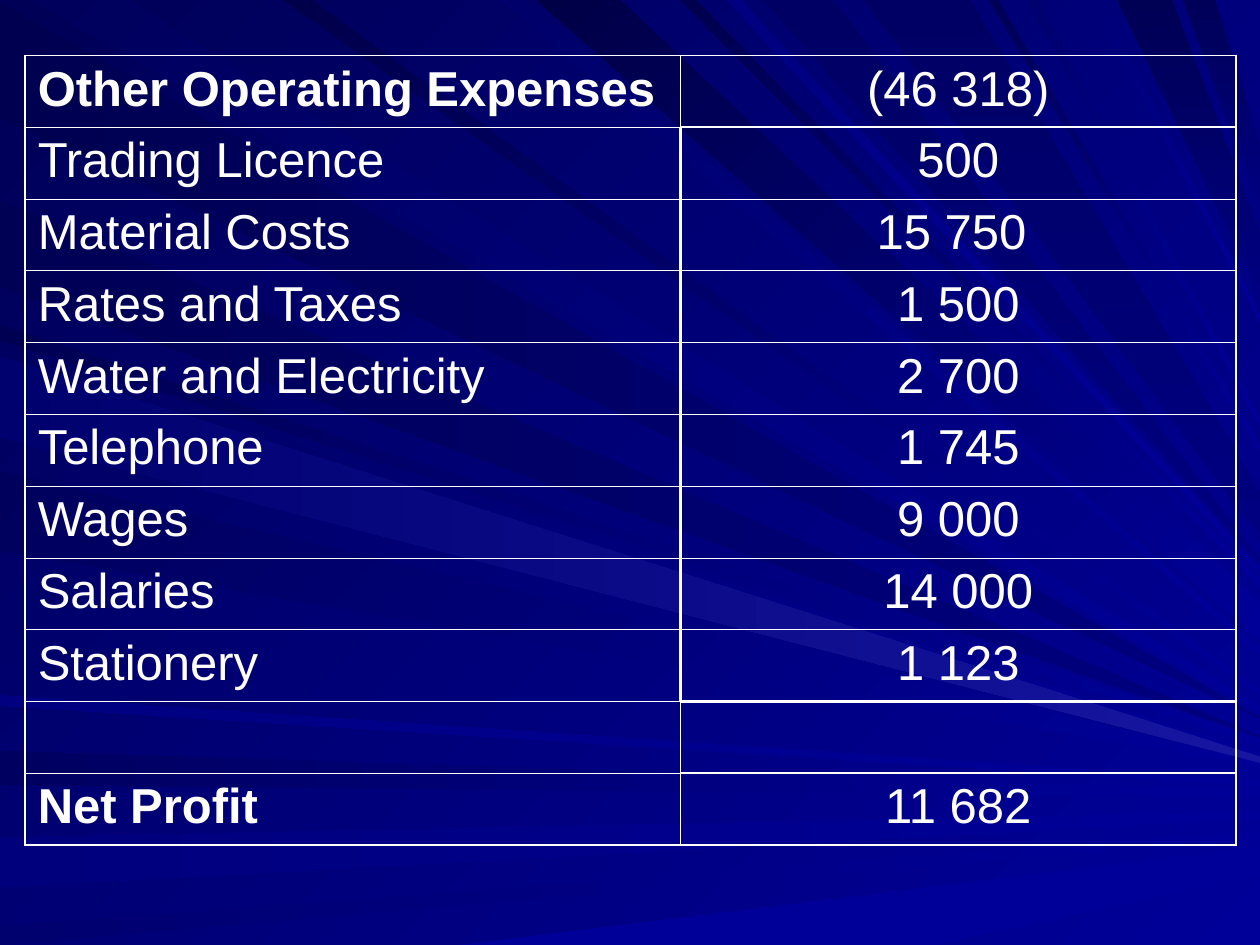
from lxml import etree
from pptx import Presentation
from pptx.dml.color import RGBColor
from pptx.enum import text
from pptx.oxml import ns
from pptx.util import Inches, Pt

THEME = {
    "font": "Arial", "size": 28, "text": "FFFFFF", "border": "FFFFFF",
    "light": "000099", "middle": "000080", "pale": "1616A1", "dark": "000057",
    "hair": 0.45, "medium": 1.08, "heavy": 1.47,
}
WIDTH, HEIGHT = 10, 7.5

# Label, amount, bold label
EXPENSES = [
    ("Other Operating Expenses", "(46 318)", True),
    ("Trading Licence", "500", False),
    ("Material Costs", "15 750 ", False),
    ("Rates and Taxes", "1 500", False),
    ("Water and Electricity", "2 700", False),
    ("Telephone", "1 745", False),
    ("Wages", "9 000", False),
    ("Salaries", "14 000", False),
    ("Stationery", "1 123", False),
    ("", "", False),
    ("Net Profit", "11 682", True),
]
LEFT, TOP, ROW_HEIGHT = 0.2, 0.44, 0.57
COLUMN_WIDTHS = (5.2, 4.41)
FIRST_ITEM, LAST_ITEM = 1, 8

# Each group: starting edge, tip colour, clockwise gradient angle, tip height;
# each ray: start and end on that edge, tip centre on the right edge, dark colour
RAY_GROUPS = [
    ("left", "middle", 180, 0.02, [(0.02, 0.93, 5.7, "000051"), (1.59, 2.28, 5.85, "000055")]),
    ("left", "light", 180, 0.05, [
        (5.96, 6.23, 6.3, "000060"), (6.65, 7.04, 6.47, "00007C"),
        (7.35, 7.5, 6.62, "00006E"), (2.58, 2.7, 5.89, "000053")]),
    ("bottom", "light", 180, 0.22, [(3.64, 7.42, 6.83, "000099")]),
    ("top", "light", 225, 0.05, [
        (0.26, 1.01, 5.63, "00005C"), (3.98, 4.16, 5.18, "00006A"), (5.4, 5.52, 4.63, "00004E")]),
    ("top", "light", 225, 0.3, [(4.26, 4.92, 4.93, "000046")]),
    ("top", "middle", 270, 0.05, [(6.06, 6.61, 4.46, "000064")]),
    ("top", "middle", 270, 0.5, [(8.87, 9.3, 2.1, "000055"), (9.39, 9.64, 1.4, "000059")]),
    ("left", "light", 225, 0.04, [
        (2.78, 3.42, 6, "000060"), (3.74, 4.37, 6.06, "00005C"), (5.52, 5.6, 6.22, "000081")]),
    ("top", "light", 225, 0.05, [(2.25, 2.47, 5.5, "00004A"), (5.77, 5.88, 4.54, "000081")]),
    ("top", "middle", 270, 0.38, [(6.86, 7.7, 4.09, "000064")]),
    ("top", "light", 225, 0.05, [
        (7.85, 7.92, 3.57, "000057"), (8.15, 8.24, 3.36, "00006E"), (8.65, 8.72, 2.53, "000078")]),
    ("left", "pale", 180, 0.05, [(2.83, 3.47, 6.03, "00006E")]),
]


def paint(fill, colours, angle):
    """Fill with a two-colour gradient at a clockwise angle."""
    fill.gradient()
    fill.gradient_angle = 360 - angle
    for stop, colour in zip(fill.gradient_stops, colours):
        stop.color.rgb = RGBColor.from_string(colour)


def edge_point(edge, offset):
    return {"left": (0, offset), "top": (offset, 0), "bottom": (offset, HEIGHT)}[edge]


def add_ray(slide, edge, tip_colour, angle, tip_height, ray):
    start, end, tip, dark = ray
    near, far = tip - tip_height / 2, tip + tip_height / 2
    if edge == "top":
        near, far = far, near
    corners = [edge_point(edge, start), edge_point(edge, end), (WIDTH, far), (WIDTH, near)]
    points = [(Inches(x), Inches(y)) for x, y in corners]
    builder = slide.shapes.build_freeform(*points[0], scale=1.0)
    builder.add_line_segments(points[1:], close=True)
    shape = builder.convert_to_shape()
    shape.shadow.inherit = False
    shape.line.fill.background()
    paint(shape.fill, (THEME[tip_colour], dark), angle)


def border_weights(row, column):
    """Left, right, top and bottom weights; the item amounts have a heavy frame."""
    last_row = len(EXPENSES) - 1
    is_item = FIRST_ITEM <= row <= LAST_ITEM
    divider = "heavy" if is_item else "hair"
    top = "medium" if row == 0 else "hair"
    if column == 0:
        return "medium", divider, top, "medium" if row == last_row else "hair"
    if row == FIRST_ITEM or row > LAST_ITEM:
        top = "heavy"
    bottom = "heavy" if row == 0 or row >= LAST_ITEM else "hair"
    return divider, "heavy" if is_item else "medium", top, bottom


def set_borders(cell, weights):
    properties = cell._tc.get_or_add_tcPr()
    for side, weight in zip("LRTB", weights):
        line = etree.SubElement(properties, ns.qn("a:ln" + side), w=str(Pt(THEME[weight])))
        fill = etree.SubElement(line, ns.qn("a:solidFill"))
        etree.SubElement(fill, ns.qn("a:srgbClr"), val=THEME["border"])


def write_cell(cell, content, bold, alignment):
    paragraph = cell.text_frame.paragraphs[0]
    paragraph.alignment = alignment
    if content:
        run = paragraph.add_run()
        run.text = content
        run.font.name = THEME["font"]
        run.font.size = Pt(THEME["size"])
        run.font.bold = bold
        run.font.color.rgb = RGBColor.from_string(THEME["text"])


def add_expense_table(slide):
    table = slide.shapes.add_table(
        len(EXPENSES), len(COLUMN_WIDTHS), Inches(LEFT), Inches(TOP),
        Inches(sum(COLUMN_WIDTHS)), Inches(ROW_HEIGHT * len(EXPENSES))).table
    table.first_row = table.horz_banding = False
    for column, width in zip(table.columns, COLUMN_WIDTHS):
        column.width = Inches(width)
    for row, (label, amount, bold) in enumerate(EXPENSES):
        table.rows[row].height = Inches(ROW_HEIGHT)
        write_cell(table.cell(row, 0), label, bold, text.PP_ALIGN.LEFT)
        write_cell(table.cell(row, 1), amount, False, text.PP_ALIGN.CENTER)
        for column in range(len(COLUMN_WIDTHS)):
            cell = table.cell(row, column)
            set_borders(cell, border_weights(row, column))
            cell.fill.background()


def main():
    presentation = Presentation()
    presentation.slide_width, presentation.slide_height = Inches(WIDTH), Inches(HEIGHT)
    slide = presentation.slides.add_slide(presentation.slide_layouts[6])
    paint(slide.background.fill, (THEME["light"], THEME["dark"]), 225)
    for edge, tip_colour, angle, tip_height, rays in RAY_GROUPS:
        for ray in rays:
            add_ray(slide, edge, tip_colour, angle, tip_height, ray)
    add_expense_table(slide)
    presentation.save("out.pptx")


if __name__ == "__main__":
    main()
